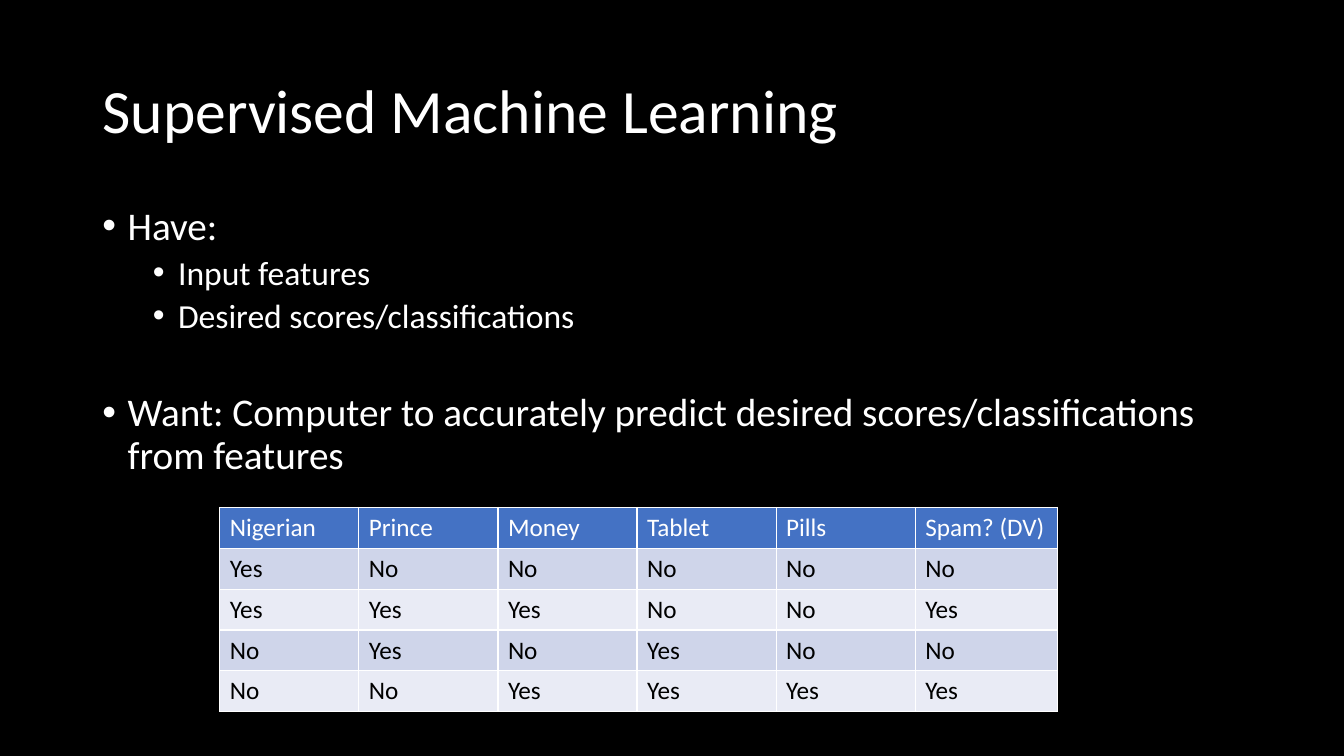
from dataclasses import dataclass

from lxml import etree
from pptx import Presentation
from pptx import util as u
from pptx.dml.color import RGBColor
from pptx.enum import text
from pptx.oxml import ns

BLACK = RGBColor(0x00, 0x00, 0x00)
WHITE = RGBColor(0xFF, 0xFF, 0xFF)
HEADER_BLUE = RGBColor(0x44, 0x72, 0xC4)
BAND_DARK = RGBColor(0xCF, 0xD5, 0xEA)
BAND_LIGHT = RGBColor(0xE9, 0xEB, 0xF5)
FONT = "Calibri"
GRID_COLUMNS, GRID_ROWS = 160, 90
UNIT = u.Inches(1 / 12)


@dataclass(frozen=True)
class Area:
    column: float
    row: float
    columns: float
    rows: float


@dataclass(frozen=True)
class Bullet:
    wording: str
    level: int
    size: int
    space_before: int


TITLE_AREA = Area(11, 4.8, 138, 17.4)
BODY_AREA = Area(11, 24, 138, 57.1)
FEATURE_COLUMN, LABEL_COLUMN, TABLE_ROW = 16.56, 16.9, 4.87

BULLETS = [
    Bullet("Have:", 0, 28, 0),
    Bullet("Input features", 1, 24, 5),
    Bullet("Desired scores/classifications", 1, 24, 5),
    Bullet("Want: Computer to accurately predict desired "
           "scores/classifications from features", 0, 28, 41),
]
EXAMPLES = [
    ["Nigerian", "Prince", "Money", "Tablet", "Pills", "Spam? (DV)"],
    ["Yes", "No", "No", "No", "No", "No"],
    ["Yes", "Yes", "Yes", "No", "No", "Yes"],
    ["No", "Yes", "No", "Yes", "No", "No"],
    ["No", "No", "Yes", "Yes", "Yes", "Yes"],
]


def grid(count: float) -> u.Emu:
    return u.Emu(round(count * UNIT))


def place(shape, area: Area) -> None:
    shape.left, shape.top = grid(area.column), grid(area.row)
    shape.width, shape.height = grid(area.columns), grid(area.rows)


def add_run(paragraph, wording: str, size: int, color: RGBColor) -> None:
    run = paragraph.add_run()
    run.text = wording
    run.font.name = FONT
    run.font.size = u.Pt(size)
    run.font.bold = False
    run.font.color.rgb = color


def add_title(slide, wording: str) -> None:
    title = slide.shapes.title
    place(title, TITLE_AREA)
    frame = title.text_frame
    frame.auto_size = text.MSO_AUTO_SIZE.NONE
    frame.vertical_anchor = text.MSO_ANCHOR.MIDDLE
    paragraph = frame.paragraphs[0]
    paragraph.alignment = text.PP_ALIGN.LEFT
    paragraph.line_spacing = 0.9
    add_run(paragraph, wording, 44, WHITE)


def add_bullets(slide, bullets: list[Bullet]) -> None:
    body = slide.placeholders[1]
    place(body, BODY_AREA)
    frame = body.text_frame
    frame.auto_size = text.MSO_AUTO_SIZE.NONE
    for index, bullet in enumerate(bullets):
        paragraph = frame.add_paragraph() if index else frame.paragraphs[0]
        properties = paragraph._p.get_or_add_pPr()
        properties.set("marL", str(u.Inches(0.25 + 0.5 * bullet.level)))
        properties.set("indent", str(u.Inches(-0.25)))
        etree.SubElement(properties, ns.qn("a:buFont"), typeface="Arial")
        etree.SubElement(properties, ns.qn("a:buChar"), char="•")
        paragraph.level = bullet.level
        paragraph.line_spacing = 0.9
        paragraph.space_before = u.Pt(bullet.space_before)
        add_run(paragraph, bullet.wording, bullet.size, WHITE)


def add_borders(cell, color: RGBColor) -> None:
    properties = cell._tc.get_or_add_tcPr()
    for side in ("lnL", "lnR", "lnT", "lnB"):
        line = etree.SubElement(properties, ns.qn(f"a:{side}"), w=str(u.Pt(1)))
        fill = etree.SubElement(line, ns.qn("a:solidFill"))
        etree.SubElement(fill, ns.qn("a:srgbClr"), val=str(color))


def add_examples(slide, examples: list[list[str]]) -> None:
    widths = [FEATURE_COLUMN] * (len(examples[0]) - 1) + [LABEL_COLUMN]
    area = Area(26.16, 60.4, sum(widths), TABLE_ROW * len(examples))
    table = slide.shapes.add_table(
        len(examples), len(widths), grid(area.column), grid(area.row),
        grid(area.columns), grid(area.rows)).table
    for column, width in zip(table.columns, widths):
        column.width = grid(width)
    for row_index, answers in enumerate(examples):
        table.rows[row_index].height = grid(TABLE_ROW)
        is_header = row_index == 0
        band = BAND_DARK if row_index % 2 else BAND_LIGHT
        for column_index, answer in enumerate(answers):
            cell = table.cell(row_index, column_index)
            add_borders(cell, WHITE)
            cell.fill.solid()
            cell.fill.fore_color.rgb = HEADER_BLUE if is_header else band
            add_run(cell.text_frame.paragraphs[0], answer, 18,
                    WHITE if is_header else BLACK)


def main() -> None:
    presentation = Presentation()
    presentation.slide_width = grid(GRID_COLUMNS)
    presentation.slide_height = grid(GRID_ROWS)
    slide = presentation.slides.add_slide(presentation.slide_layouts[1])
    slide.background.fill.solid()
    slide.background.fill.fore_color.rgb = BLACK
    add_title(slide, "Supervised Machine Learning")
    add_bullets(slide, BULLETS)
    add_examples(slide, EXAMPLES)
    presentation.save("out.pptx")


if __name__ == "__main__":
    main()
